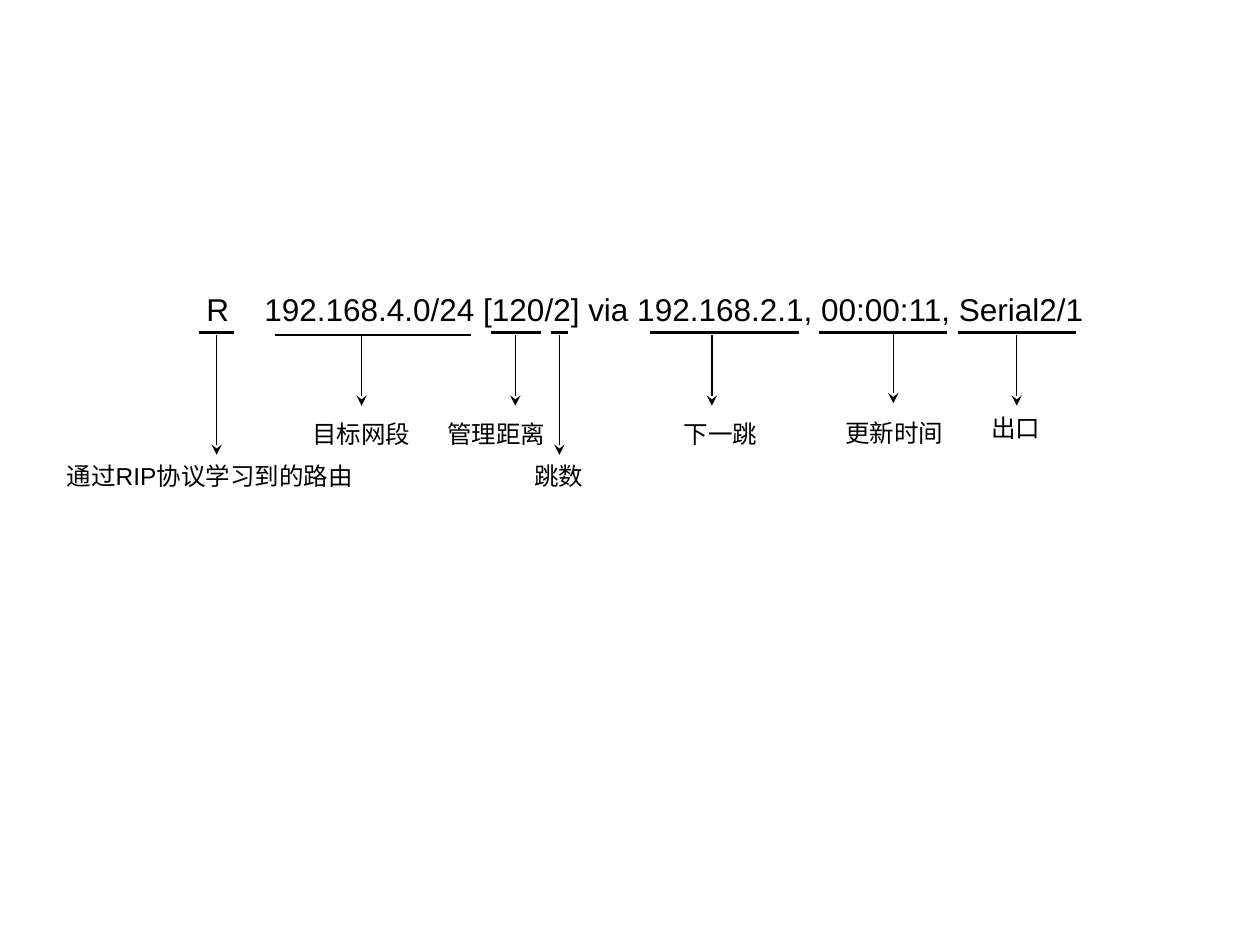
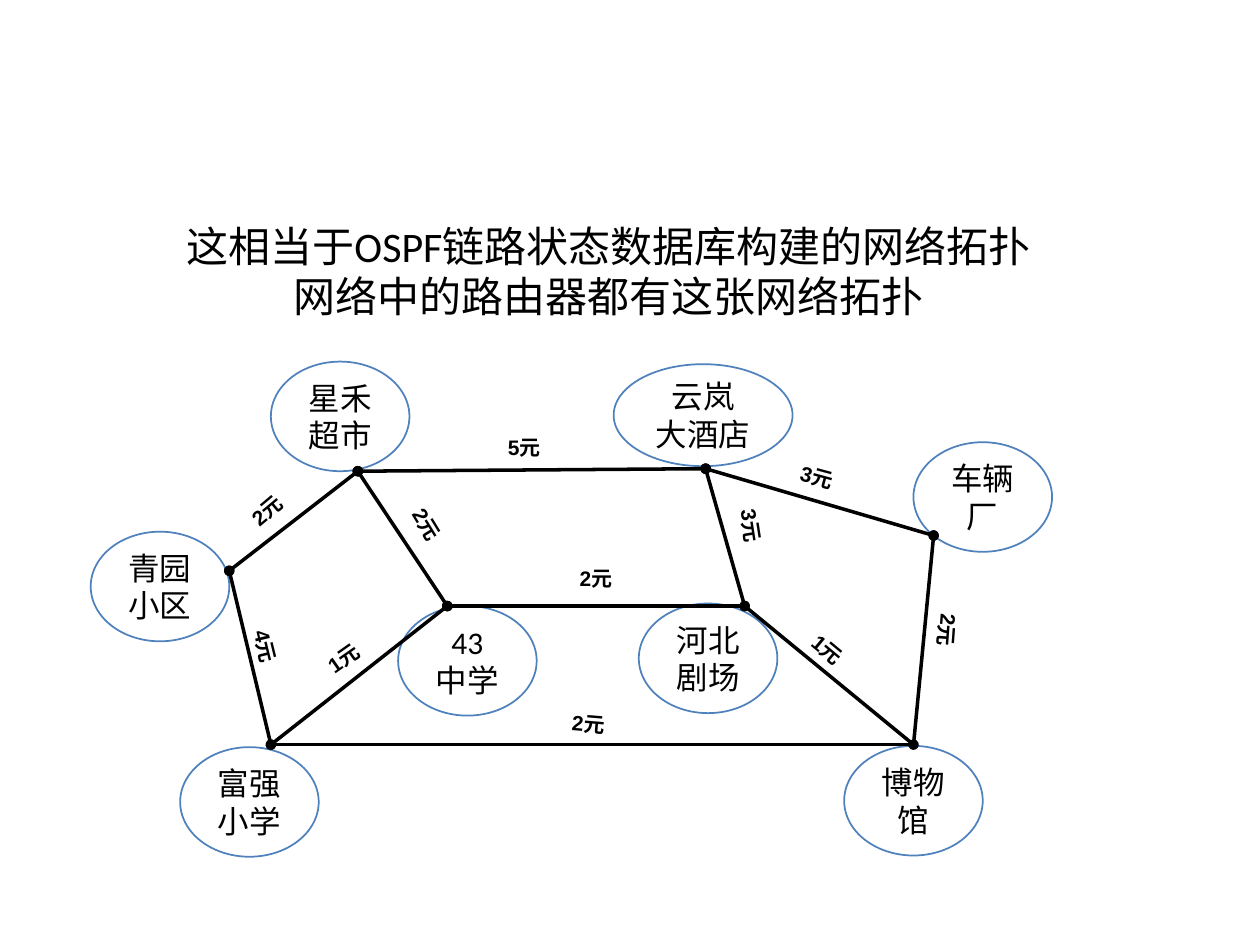
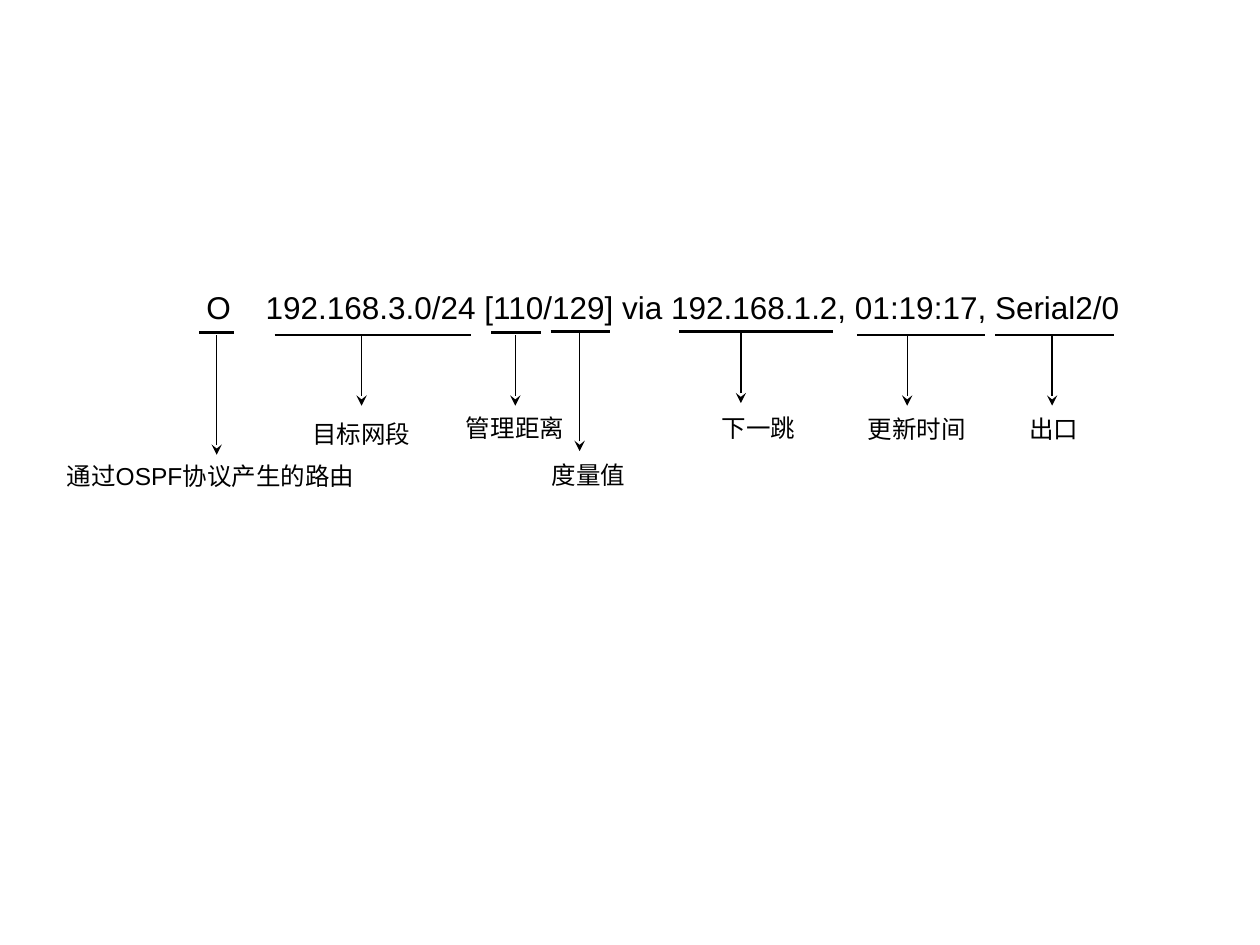
from dataclasses import dataclass

from lxml import etree
from pptx import Presentation
from pptx.dml.color import RGBColor
from pptx.enum.shapes import MSO_CONNECTOR, MSO_SHAPE
from pptx.enum.text import MSO_ANCHOR, PP_ALIGN
from pptx.oxml.ns import qn
from pptx.util import Inches, Pt

STRAIGHT = MSO_CONNECTOR.STRAIGHT
ELLIPSE = MSO_SHAPE.OVAL
MIDDLE = MSO_ANCHOR.MIDDLE
CENTER, LEFT = PP_ALIGN.CENTER, PP_ALIGN.LEFT


@dataclass(frozen=True)
class Theme:
    ink: RGBColor = RGBColor(0x00, 0x00, 0x00)
    outline: RGBColor = RGBColor(0x4F, 0x81, 0xBD)
    body_font: str = "Arial"
    map_font: str = "Calibri"
    heading_size: int = 24
    route_size: int = 18
    caption_size: int = 14
    fare_size: int = 12
    rule_width: float = 1.5
    arrow_width: float = 0.75
    road_width: float = 2
    outline_width: float = 1


@dataclass(frozen=True)
class Field:
    """One part of a route entry: its underline, arrow and caption."""
    caption: str
    left: float
    right: float
    arrow_x: float
    caption_left: float
    rule_y: float = 2.64
    arrow_top: float = 2.66
    arrow_end: float = 3.22
    caption_top: float = 3.28
    caption_width: float = 0

    def width(self):
        return self.caption_width or 0.2 + 0.2 * len(self.caption)


class Deck:
    def __init__(self, theme):
        self.theme = theme
        self.prs = Presentation()
        self.prs.slide_width, self.prs.slide_height = Inches(10), Inches(7.5)
        self.slide = None

    def new_slide(self):
        self.slide = self.prs.slides.add_slide(self.prs.slide_layouts[6])

    def fill_text(self, frame, text, size, font, bold=False, align=LEFT):
        frame.word_wrap = True
        frame.text = text
        for paragraph in frame.paragraphs:
            paragraph.alignment = align
            for run in paragraph.runs:
                run.font.size = Pt(size)
                run.font.name = font
                run.font.bold = bold
                run.font.color.rgb = self.theme.ink

    def text(self, text, left, top, width, height, size, font=None,
             bold=False, align=LEFT, rotation=0, side_inset=0.1):
        box = self.slide.shapes.add_textbox(
            Inches(left), Inches(top), Inches(width), Inches(height))
        box.rotation = rotation
        frame = box.text_frame
        frame.margin_left = frame.margin_right = Inches(side_inset)
        self.fill_text(frame, text, size, font or self.theme.body_font,
                       bold, align)
        return frame

    def line(self, start, end, width, head=None, tail=None):
        line = self.slide.shapes.add_connector(
            STRAIGHT, *(Inches(value) for value in (*start, *end)))
        line.line.color.rgb = self.theme.ink
        line.line.width = Pt(width)
        properties = line._element.spPr
        outline = properties.find(qn("a:ln"))
        for tag, kind in (("a:headEnd", head), ("a:tailEnd", tail)):
            if kind:
                etree.SubElement(outline, qn(tag), type=kind)
        etree.SubElement(properties, qn("a:effectLst"))

    def place(self, name, left, top, width, height):
        place = self.slide.shapes.add_shape(
            ELLIPSE, Inches(left), Inches(top), Inches(width), Inches(height))
        place.shadow.inherit = False
        place.fill.background()
        place.line.color.rgb = self.theme.outline
        place.line.width = Pt(self.theme.outline_width)
        place.text_frame.vertical_anchor = MIDDLE
        self.fill_text(place.text_frame, name, self.theme.route_size,
                       self.theme.map_font, align=CENTER)

    def route(self, text, top, width, tab):
        frame = self.text(text, 1.54, top, width, 0.4, self.theme.route_size)
        properties = frame.paragraphs[0]._p.get_or_add_pPr()
        stops = etree.SubElement(properties, qn("a:tabLst"))
        etree.SubElement(stops, qn("a:tab"), pos=str(Inches(tab)), algn="l")

    def field(self, field):
        theme = self.theme
        self.line((field.left, field.rule_y), (field.right, field.rule_y),
                  theme.rule_width)
        self.line((field.arrow_x, field.arrow_end),
                  (field.arrow_x, field.arrow_top),
                  theme.arrow_width, head="stealth")
        self.text(field.caption, field.caption_left, field.caption_top,
                  field.width(), 0.34, theme.caption_size)

    def route_slide(self, text, top, width, tab, source, fields):
        self.new_slide()
        self.route(text, top, width, tab)
        shared = [
            Field(source, 1.58, 1.86, 1.72, 0.43, arrow_end=3.61,
                  caption_top=3.61, caption_width=2.5),
            Field("目标网段", 2.18, 3.74, 2.87, 2.38, rule_y=2.66),
        ]
        for field in shared + fields:
            self.field(field)


# Parts of the RIP and OSPF route entries
RIP_FIELDS = [
    Field("管理距离", 3.9, 4.29, 4.09, 3.45),
    Field("跳数", 4.37, 4.51, 4.44, 4.14, arrow_end=3.61, caption_top=3.61),
    Field("下一跳", 5.16, 6.34, 5.65, 5.33),
    Field("更新时间", 6.5, 7.52, 7.09, 6.61, arrow_top=2.64, arrow_end=3.2,
          caption_top=3.27),
    Field("出口", 7.6, 8.54, 8.07, 7.77, caption_top=3.23),
]
OSPF_FIELDS = [
    Field("管理距离", 3.9, 4.29, 4.09, 3.6, caption_top=3.23),
    Field("度量值", 4.37, 4.84, 4.6, 4.28, rule_y=2.63, arrow_top=2.63,
          arrow_end=3.58, caption_top=3.6),
    Field("下一跳", 5.39, 6.61, 5.88, 5.63, rule_y=2.63, arrow_top=2.64,
          arrow_end=3.2, caption_top=3.23),
    Field("更新时间", 6.8, 7.82, 7.2, 6.79, rule_y=2.66, caption_top=3.24),
    Field("出口", 7.9, 8.84, 8.35, 8.07, rule_y=2.66, caption_top=3.24),
]

# Places of the map: left, top, and the point where their roads meet
PLACES = {
    "青园小区": (0.72, 4.22, (1.82, 4.53)),
    "星禾超市": (2.15, 2.87, (2.84, 3.74)),
    "富强小学": (1.43, 5.93, (2.15, 5.91)),
    "43\n中学": (3.16, 4.81, (3.55, 4.81)),
    "云岚\n大酒店": (4.87, 2.89, (5.6, 3.72)),
    "车辆厂": (7.25, 3.51, (7.41, 4.25)),
    "河北剧场": (5.07, 4.79, (5.91, 4.81)),
    "博物馆": (6.7, 5.92, (7.25, 5.91)),
}
PLACE_SIZE = (1.1, 0.87)
WIDE_PLACES = {"云岚\n大酒店": (1.42, 0.81)}

# Roads: both places, fare, then the fare's left, top, width and rotation
ROADS = [
    ("青园小区", "星禾超市", " 2元", 1.93, 3.87, 0.45, 320),
    ("富强小学", "青园小区", "4元", 1.94, 5.03, 0.36, 76.2),
    ("富强小学", "43\n中学", "1元", 2.58, 5.03, 0.42, 325),
    ("星禾超市", "云岚\n大酒店", "5元", 4.03, 3.4, 0.45, 0),
    ("河北剧场", "云岚\n大酒店", "3元", 5.8, 4.06, 0.34, 81.1),
    ("43\n中学", "星禾超市", "2元", 3.22, 4.08, 0.42, 58.6),
    ("博物馆", "富强小学", "2元", 4.54, 5.6, 0.39, 4.8),
    ("河北剧场", "43\n中学", "2元", 4.6, 4.44, 0.34, 0),
    ("车辆厂", "云岚\n大酒店", "3元", 6.35, 3.66, 0.45, 15.2),
    ("车辆厂", "博物馆", "2元", 7.35, 4.89, 0.34, 94.2),
    ("博物馆", "河北剧场", "1元", 6.43, 5.03, 0.34, 39.8),
]


def map_slide(deck):
    theme = deck.theme
    deck.new_slide()
    for name, (left, top, _) in PLACES.items():
        deck.place(name, left, top, *WIDE_PLACES.get(name, PLACE_SIZE))
    for start, end, *_ in ROADS:
        # Roads leaving the museum end on dots that are already there
        dot = None if start == "博物馆" else "oval"
        deck.line(PLACES[start][2], PLACES[end][2], theme.road_width, dot, dot)
    for _, _, fare, left, top, width, rotation in ROADS:
        deck.text(fare, left, top, width, 0.3, theme.fare_size, bold=True,
                  rotation=rotation, side_inset=0)
    deck.text("这相当于OSPF链路状态数据库构建的网络拓扑\n网络中的路由器都有这张网络拓扑",
              1.31, 1.7, 7.04, 1.01, theme.heading_size, theme.map_font,
              align=CENTER)


def main():
    deck = Deck(Theme())
    deck.route_slide("R\t192.168.4.0/24 [120/2] via 192.168.2.1, 00:00:11, Serial2/1",
                     2.25, 8.19, 0.46, "通过RIP协议学习到的路由", RIP_FIELDS)
    map_slide(deck)
    deck.route_slide("O\t192.168.3.0/24 [110/129] via 192.168.1.2, 01:19:17, Serial2/0",
                     2.24, 8.43, 0.47, "通过OSPF协议产生的路由", OSPF_FIELDS)
    deck.prs.save("out.pptx")


if __name__ == "__main__":
    main()
